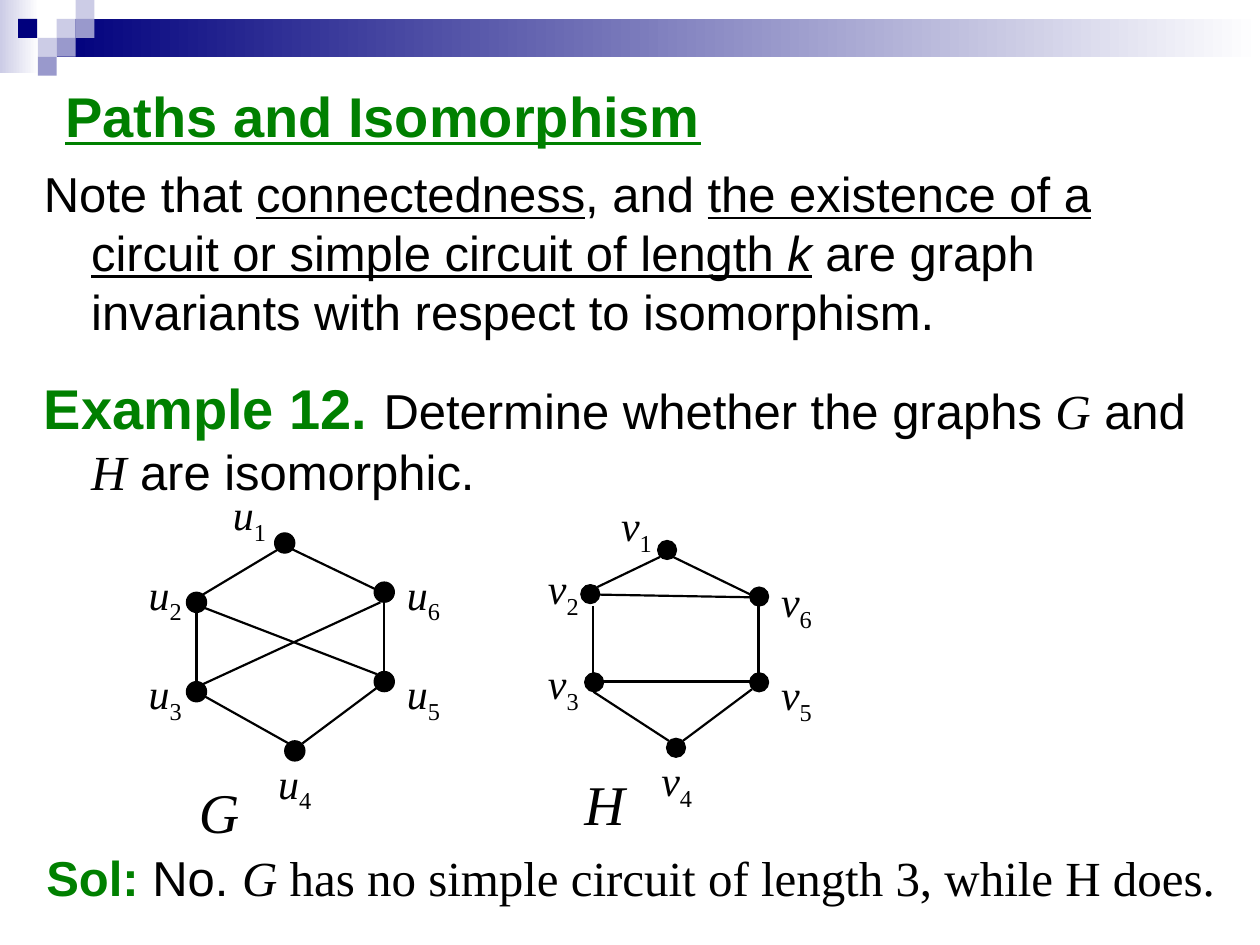
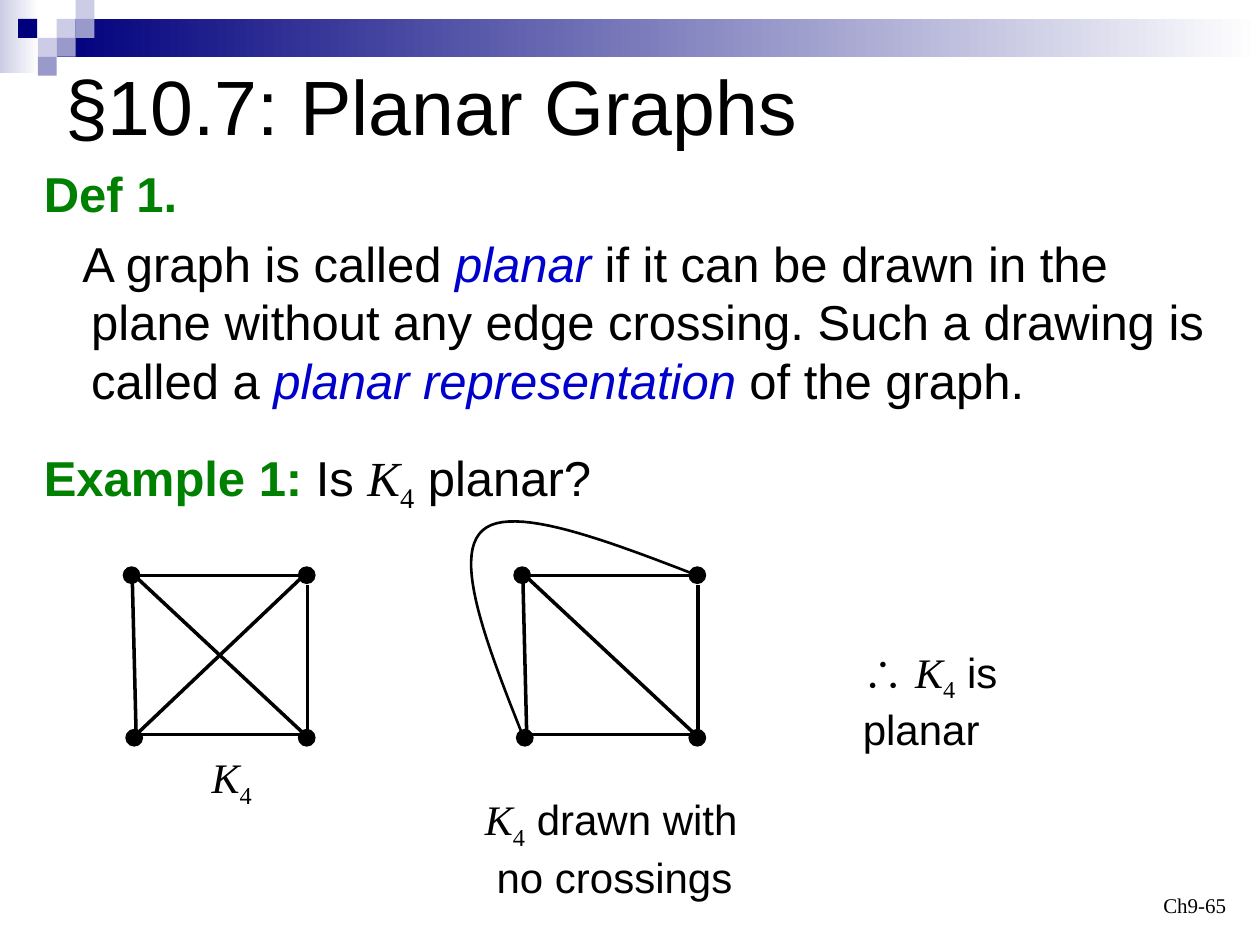
from lxml import etree
from pptx import Presentation
from pptx import util as u
from pptx.dml import color as c
from pptx.enum import shapes, text
from pptx.oxml import ns

COLORS = {
    "navy": "00007D", "lilac": "CCCCE6", "violet": "9999CC", "white": "FFFFFF",
    "green": "008000", "blue": "0000CC", "black": "000000",
}
SANS, SERIF = "Arial", "Times New Roman"

# Run formats
HEAD = dict(color="green", bold=True)
UNDER = dict(underline=True)
TERM = dict(color="blue", italic=True)
ROMAN = dict(font=SERIF)
MATH = dict(font=SERIF, italic=True)
SUB = dict(font=SERIF, subscript=True)
HANGING = dict(indent=27, first=-27)

SQUARE = 10.8
SQUARES = [  # left, top, colour
    (32.4, 10.8, "lilac"), (43.2, 0, "lilac"), (43.2, 10.8, "violet"),
    (21.6, 21.6, "lilac"), (10.4, 10.8, "navy"), (32.4, 21.6, "violet"),
    (21.6, 32.4, "violet"),
]


def rgb(name):
    return c.RGBColor.from_string(COLORS[name])


def add_run(paragraph, content, size=28, font=SANS, color="black", bold=False,
            italic=False, underline=False, subscript=False):
    run = paragraph.add_run()
    run.text = content
    run.font.size = u.Pt(size)
    run.font.name = font
    run.font.bold, run.font.italic, run.font.underline = bold, italic, underline
    run.font.color.rgb = rgb(color)
    if subscript:
        run._r.get_or_add_rPr().set("baseline", "-25000")


def bezier(points, steps=24):
    """Points along a cubic curve, without its start."""
    for step in range(1, steps + 1):
        t = step / steps
        weights = ((1 - t) ** 3, 3 * t * (1 - t) ** 2, 3 * t * t * (1 - t), t ** 3)
        yield tuple(sum(w * p[axis] for w, p in zip(weights, points)) for axis in (0, 1))


class Deck:
    def __init__(self):
        self.presentation = Presentation()
        self.presentation.slide_width = u.Pt(720)
        self.presentation.slide_height = u.Pt(540)
        self.slide = None

    def new_slide(self):
        self.slide = self.presentation.slides.add_slide(self.presentation.slide_layouts[6])
        self.band(0, 0, 22.3, 41.8, "lilac")
        self.band(32.4, 10.8, 687.6, 21.6, "navy")
        for left, top, color in SQUARES:
            self.shape(left, top, SQUARE, SQUARE, color)

    def shape(self, left, top, width, height, color, kind="RECTANGLE"):
        shape = self.slide.shapes.add_shape(
            getattr(shapes.MSO_SHAPE, kind), *map(u.Pt, (left, top, width, height)))
        shape.shadow.inherit = False
        shape.fill.solid()
        shape.fill.fore_color.rgb = rgb(color)
        shape.line.fill.background()
        return shape

    def band(self, left, top, width, height, color):
        shape = self.shape(left, top, width, height, color)
        shape.fill.gradient()
        shape.fill.gradient_angle = 0
        for stop, name in zip(shape.fill.gradient_stops, (color, "white")):
            stop.color.rgb = rgb(name)

    def dot(self, x, y, size, kind="OVAL"):
        shape = self.shape(x - size / 2, y - size / 2, size, size, "black", kind)
        shape.line.color.rgb = rgb("black")
        shape.line.width = u.Pt(0.75)

    def edge(self, x1, y1, x2, y2, width):
        connector = self.slide.shapes.add_connector(
            shapes.MSO_CONNECTOR.STRAIGHT, *map(u.Pt, (x1, y1, x2, y2)))
        connector.line.color.rgb = rgb("black")
        connector.line.width = u.Pt(width)
        etree.SubElement(connector._element.spPr, ns.qn("a:effectLst"))

    def curve(self, start, segments, width):
        points, here = [], start
        for segment in segments:
            points += bezier([here, *segment])
            here = segment[-1]
        builder = self.slide.shapes.build_freeform(u.Pt(start[0]), u.Pt(start[1]))
        builder.add_line_segments([(u.Pt(x), u.Pt(y)) for x, y in points], close=False)
        shape = builder.convert_to_shape()
        shape.shadow.inherit = False
        shape.fill.background()
        shape.line.color.rgb = rgb("black")
        shape.line.width = u.Pt(width)

    def text(self, left, top, width, height, *paragraphs, size=28,
             anchor="TOP", align="LEFT", indent=0, first=0):
        """Each paragraph is a list of (text, format); "\\n" alone breaks the line."""
        box = self.slide.shapes.add_textbox(*map(u.Pt, (left, top, width, height)))
        frame = box.text_frame
        frame.word_wrap = True
        frame.vertical_anchor = getattr(text.MSO_ANCHOR, anchor)
        for index, runs in enumerate(paragraphs):
            paragraph = frame.add_paragraph() if index else frame.paragraphs[0]
            paragraph.alignment = getattr(text.PP_ALIGN, align)
            properties = paragraph._p.get_or_add_pPr()
            properties.set("marL", str(u.Pt(indent)))
            properties.set("indent", str(u.Pt(first)))
            for content, style in runs:
                if content == "\n":
                    paragraph.add_line_break()
                else:
                    add_run(paragraph, content, **{"size": size, **style})
        return frame

    def title(self, top, height, content, **style):
        self.text(30.2, top, 648, height, [(content, style)], anchor="MIDDLE")

    def symbol(self, left, top, letter, index):
        self.text(left, top, 46, 36, [(letter, MATH), (index, SUB)], size=24)

    def graph(self, letter, dots, dot_size, edges, labels, name, name_at):
        for line in edges:
            self.edge(*line, width=1.25)
        for x, y in dots:
            self.dot(x, y, dot_size)
        for number, (left, top) in enumerate(labels, 1):
            self.symbol(left, top, letter, str(number))
        self.text(*name_at, 46, 45.4, [(name, MATH)], size=32)

    def square_graph(self, offset, edges):
        for x1, y1, x2, y2 in edges:
            self.edge(x1 + offset, y1, x2 + offset, y2, width=2)
        for x, y in ((75.2, 328.7), (76.7, 421.6), (175.3, 328.7), (175.3, 421.6)):
            self.dot(x + offset, y, 9.4, "FLOWCHART_CONNECTOR")


def isomorphism_slide(deck):
    deck.new_slide()
    deck.title(36, 59.8, "Paths and Isomorphism", size=32, underline=True, **HEAD)
    deck.text(18, 90, 684, 113.8, [
        ("Note that ", {}), ("connectedness", UNDER), (", and ", {}),
        ("the existence of a circuit or simple circuit of length ", UNDER),
        ("k", dict(UNDER, italic=True)),
        (" are graph invariants with respect to isomorphism.", {}),
    ], **HANGING)
    deck.text(18, 210.2, 690, 79.2, [
        ("Example 12. ", dict(HEAD, size=32)),
        ("Determine whether the graphs ", {}), ("G", MATH), (" and", {}), ("\n", {}),
        ("H", MATH), (" are isomorphic.", {}),
    ], **HANGING)

    # Graph G
    deck.graph(
        "u",
        dots=[(162.7, 310.3), (112.3, 344.2), (112.3, 395.3),
              (168.5, 429.1), (219.6, 389.5), (219.6, 338.4)],
        dot_size=11.5,
        edges=[(159.1, 313.9, 115.9, 339.8), (219.6, 385.9, 219.6, 344.2),
               (164.9, 424.8, 112.3, 395.3), (215.3, 393.1, 172.8, 424.8),
               (112.3, 391.7, 112.3, 349.9), (221, 339.8, 167, 313.9),
               (217.4, 344.2, 115.9, 391), (215.3, 385.2, 112.3, 345.6)],
        labels=[(126, 275.8), (77.8, 321.1), (77.8, 378),
                (151.9, 429.1), (225.4, 378), (225.4, 321.1)],
        name="G", name_at=(106.6, 440.6))

    # Graph H
    deck.graph(
        "v",
        dots=[(381.2, 314.3), (337.3, 339.5), (339.5, 389.9),
              (386.3, 427.3), (433.8, 389.9), (433.8, 340.9)],
        dot_size=10.8,
        edges=[(377.3, 318.2, 341.3, 335.5), (433.4, 386.6, 433.4, 346.3),
               (382.3, 423.4, 339.1, 395.3), (429.8, 393.8, 390.2, 423.4),
               (339.1, 386.6, 339.1, 346.3), (434.9, 342.7, 384.5, 318.2),
               (428.4, 389.5, 344.2, 389.5), (428.4, 341.3, 342.7, 339.8)],
        labels=[(347.8, 282.2), (306, 318.2), (306, 372.2),
                (370.8, 427.7), (439.2, 378.7), (439.2, 325.4)],
        name="H", name_at=(326.9, 436.3))

    deck.text(19.4, 481, 694, 41, [
        ("Sol: ", HEAD), ("No. ", {}), ("G ", MATH),
        ("has no simple circuit of length 3, while H does.", ROMAN),
    ])


def planar_slide(deck):
    deck.new_slide()
    deck.title(23.8, 72, "§10.7: Planar Graphs", size=44)
    definition = deck.text(
        18, 90, 678.2, 149.8,
        [("Def 1.", HEAD)],
        [("A graph is called ", {}), ("planar", TERM),
         (" if it can be drawn in the plane without any edge crossing. "
          "Such a drawing is called a ", {}),
         ("planar representation ", TERM), ("of the graph.", {})],
        **HANGING)
    body = definition.paragraphs[1]
    body.space_before = u.Pt(6)
    body._p.get_or_add_pPr().set("indent", str(u.Pt(-5)))
    deck.text(18, 252, 653.8, 41, [
        ("Example 1: ", HEAD), ("Is ", {}), ("K", MATH), ("4", SUB), (" planar?", {}),
    ], **HANGING)

    # Complete graph, then the same graph with one diagonal led outside
    edges = [(77.8, 329.8, 174.2, 419.8), (75.6, 329.8, 77.8, 419.8),
             (175.7, 334.1, 175.7, 419.8), (77.8, 329, 174.2, 329),
             (76.3, 419.8, 172.8, 419.8)]
    deck.square_graph(0, edges + [(174.2, 328.3, 77.8, 419.8)])
    deck.square_graph(223.2, edges)
    deck.curve((401, 329.8), [
        [(347, 308.9), (292.3, 288), (275.8, 303.1)],
        [(258.5, 318.2), (278.6, 369.4), (298.8, 420.5)],
    ], width=1.5)

    # Captions
    deck.symbol(113.8, 426.2, "K", "4")
    caption = deck.text(270, 450, 170, 64.8,
                        [("K", MATH), ("4", SUB), (" drawn with", {})],
                        [("no crossings", {})], size=24)
    caption.paragraphs[1]._p.get_or_add_pPr().set("marL", str(u.Pt(6.7)))
    deck.text(486, 365.8, 130, 64.8, [
        ("∴ ", ROMAN), ("K", MATH), ("4", SUB), (" is planar", {}),
    ], size=24)
    deck.text(540, 491.8, 167.8, 36, [("Ch9-65", ROMAN)],
              size=12, anchor="BOTTOM", align="RIGHT")


def main():
    deck = Deck()
    isomorphism_slide(deck)
    planar_slide(deck)
    deck.presentation.save("out.pptx")


if __name__ == "__main__":
    main()
